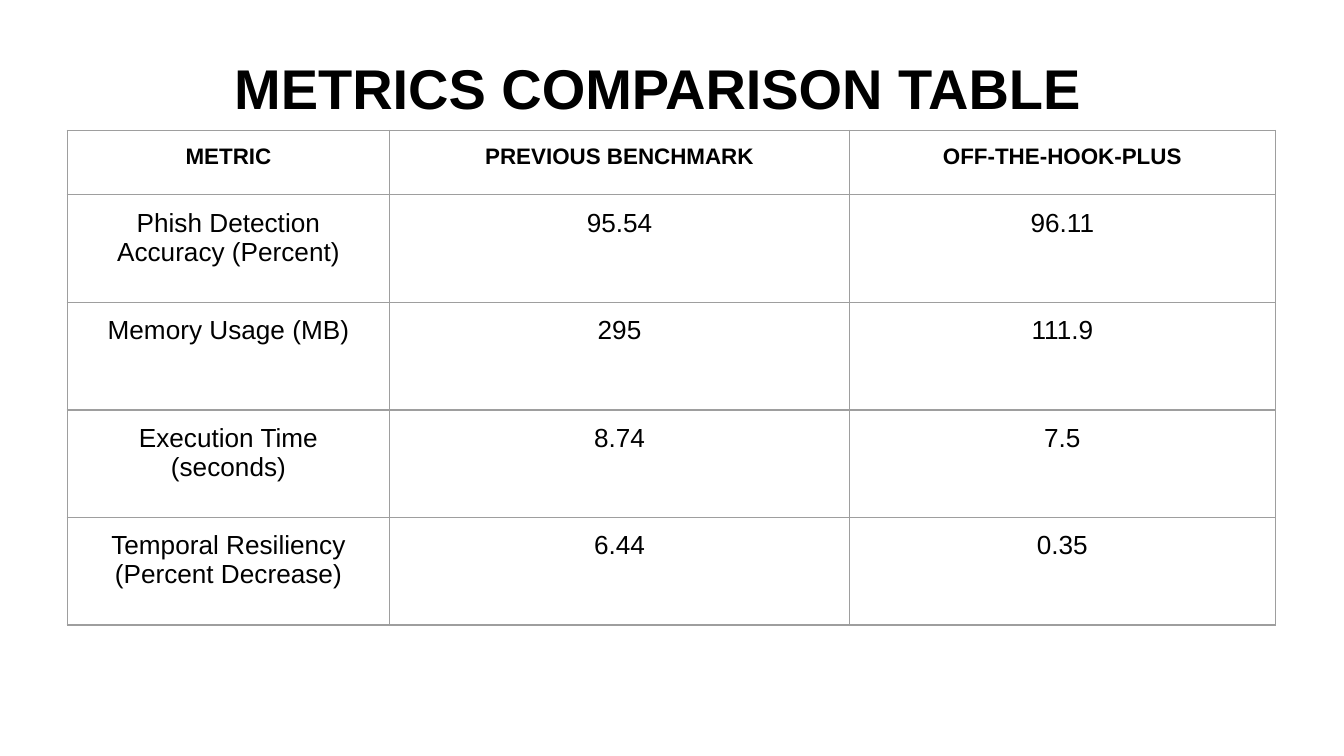
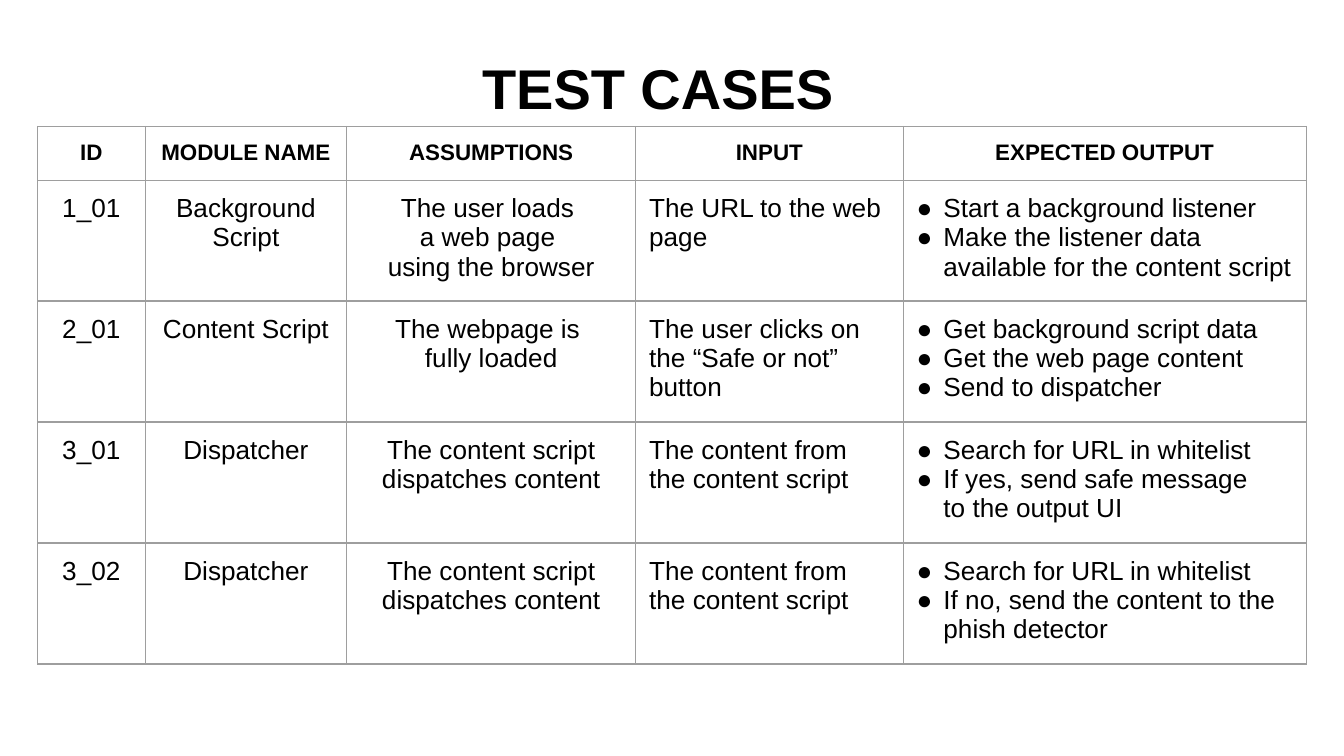
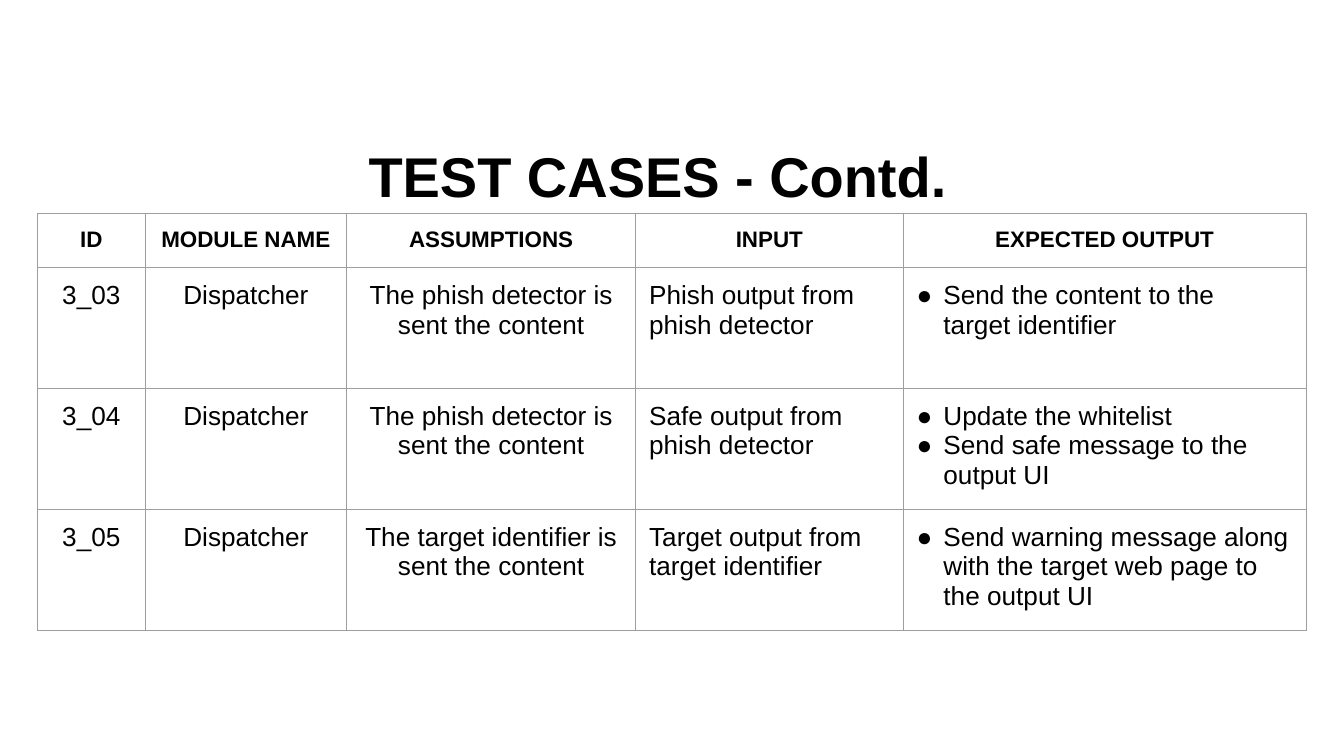
from dataclasses import dataclass
from pptx import Presentation
from pptx import util as u
from pptx.dml.color import RGBColor
from pptx.enum import text
from pptx.oxml import parse_xml
from pptx.oxml.ns import nsdecls


@dataclass(frozen=True)
class Theme:
    font: str = "Arial"
    ink: str = "000000"
    page: str = "FFFFFF"
    rule: str = "9E9E9E"
    rule_pt: float = 0.75
    title: int = 30
    head: int = 12
    body: int = 14
    pad: float = 0.1
    dent: float = 0.2


theme = Theme()

CASE_HEAD = ["ID", "MODULE NAME", "ASSUMPTIONS", "INPUT", "EXPECTED OUTPUT"]
CASE_GRID = {"left": 0.28, "cols": [0.8, 1.5, 2.15, 1.99, 3], "head_h": 0.4,
             "row_h": 0.9, "align": "ccclb"}
METRIC_GRID = {"left": 0.5, "cols": [2.4, 3.42, 3.17], "head_h": 0.48,
               "row_h": 0.8, "align": "ccc"}

SLIDES = [
    {"title": "METRICS COMPARISON TABLE", "title_y": 0.28, "table_y": 0.97,
     "grid": METRIC_GRID, "slim": (),
     "head": ["METRIC", "PREVIOUS BENCHMARK", "OFF-THE-HOOK-PLUS"],
     "rows": [
         ["Phish Detection Accuracy (Percent)", "95.54", "96.11"],
         ["Memory Usage (MB)", "295", "111.9"],
         ["Execution Time (seconds)", "8.74", "7.5"],
         ["Temporal Resiliency (Percent Decrease)", "6.44", "0.35"],
     ]},
    {"title": "TEST CASES", "title_y": 0.28, "table_y": 0.94,
     "grid": CASE_GRID, "slim": (1, 2), "head": CASE_HEAD,
     "rows": [
         ["1_01", "Background Script",
          "The user loads \na web page \nusing the browser",
          "The URL to the web page",
          "Start a background listener\n"
          "Make the listener data available for the content script"],
         ["2_01", "Content Script", "The webpage is \nfully loaded",
          "The user clicks on the “Safe or not”\nbutton",
          "Get background script data\nGet the web page content\n"
          "Send to dispatcher"],
         ["3_01", "Dispatcher", "The content script dispatches content",
          "The content from the content script",
          "Search for URL in whitelist\n"
          "If yes, send safe message\vto the output UI"],
         ["3_02", "Dispatcher", "The content script dispatches content",
          "The content from the content script",
          "Search for URL in whitelist\n"
          "If no, send the content to the phish detector"],
     ]},
    {"title": "TEST CASES - Contd.", "title_y": 0.93, "table_y": 1.59,
     "grid": CASE_GRID, "slim": (), "head": CASE_HEAD,
     "rows": [
         ["3_03", "Dispatcher", "The phish detector is sent the content",
          "Phish output from phish detector",
          "Send the content to the\vtarget identifier"],
         ["3_04", "Dispatcher", "The phish detector is sent the content",
          "Safe output from phish detector",
          "Update the whitelist\nSend safe message to the output UI"],
         ["3_05", "Dispatcher", "The target identifier is sent the content",
          "Target output from target identifier",
          "Send warning message along with the target web page to the output UI"],
     ]},
]


def style(para, size, bold, align):
    para.alignment = align
    for run in para.runs:
        font = run.font
        font.name, font.size, font.bold = theme.font, u.Pt(size), bold
        font.color.rgb = RGBColor.from_string(theme.ink)


def pad(box, right=theme.pad):
    box.margin_left = box.margin_top = box.margin_bottom = u.Inches(theme.pad)
    box.margin_right = u.Inches(right)


def bullet(para):
    props = para._p.get_or_add_pPr()
    dent = u.Inches(theme.dent)
    props.set("marL", str(dent))
    props.set("indent", str(-dent))
    ns = nsdecls("a")
    for xml in (f'<a:buClr {ns}><a:srgbClr val="{theme.ink}"/></a:buClr>',
                f'<a:buFont {ns} typeface="{theme.font}"/>',
                f'<a:buChar {ns} char="●"/>'):
        props.append(parse_xml(xml))


def border(cell):
    props = cell._tc.get_or_add_tcPr()
    for side in "LRTB":
        props.append(parse_xml(
            f'<a:ln{side} {nsdecls("a")} w="{u.Pt(theme.rule_pt)}">'
            f'<a:solidFill><a:srgbClr val="{theme.rule}"/></a:solidFill>'
            f'</a:ln{side}>'))


def fill_cell(cell, words, kind, head, slim):
    border(cell)
    cell.fill.background()
    listed = kind == "b" and not head
    pad(cell, 0 if listed and slim else theme.pad)
    cell.vertical_anchor = text.MSO_ANCHOR.TOP
    cell.text_frame.text = words
    center = head or kind == "c"
    align = text.PP_ALIGN.CENTER if center else text.PP_ALIGN.LEFT
    for para in cell.text_frame.paragraphs:
        if listed:
            bullet(para)
        style(para, theme.head if head else theme.body, head, align)


def add_title(slide, words, top):
    title = slide.shapes.title
    title.left, title.top = u.Inches(0.52), u.Inches(top)
    title.width, title.height = u.Inches(8.75), u.Inches(0.72)
    frame = title.text_frame
    frame.text = words
    frame.word_wrap = True
    frame.auto_size = text.MSO_AUTO_SIZE.NONE
    frame.vertical_anchor = text.MSO_ANCHOR.BOTTOM
    pad(frame)
    para = frame.paragraphs[0]
    para.line_spacing = 1.15
    style(para, theme.title, True, text.PP_ALIGN.CENTER)


def add_grid(slide, data):
    grid = data["grid"]
    rows = [data["head"]] + data["rows"]
    tall = [grid["head_h"]] + [grid["row_h"]] * len(data["rows"])
    table = slide.shapes.add_table(
        len(rows), len(grid["cols"]), u.Inches(grid["left"]),
        u.Inches(data["table_y"]), u.Inches(sum(grid["cols"])),
        u.Inches(sum(tall))).table
    table.first_row = table.horz_banding = False
    for col, wide in zip(table.columns, grid["cols"]):
        col.width = u.Inches(wide)
    for r, row in enumerate(rows):
        table.rows[r].height = u.Inches(tall[r])
        for c, words in enumerate(row):
            fill_cell(table.cell(r, c), words, grid["align"][c],
                      r == 0, r in data["slim"])


def main():
    deck = Presentation()
    deck.slide_width = u.Inches(10)
    deck.slide_height = deck.slide_width * 9 // 16
    for data in SLIDES:
        slide = deck.slides.add_slide(deck.slide_layouts[0])
        sub = slide.placeholders[1].element
        sub.getparent().remove(sub)
        back = slide.background.fill
        back.solid()
        back.fore_color.rgb = RGBColor.from_string(theme.page)
        add_title(slide, data["title"], data["title_y"])
        add_grid(slide, data)
    deck.save("out.pptx")


if __name__ == "__main__":
    main()
